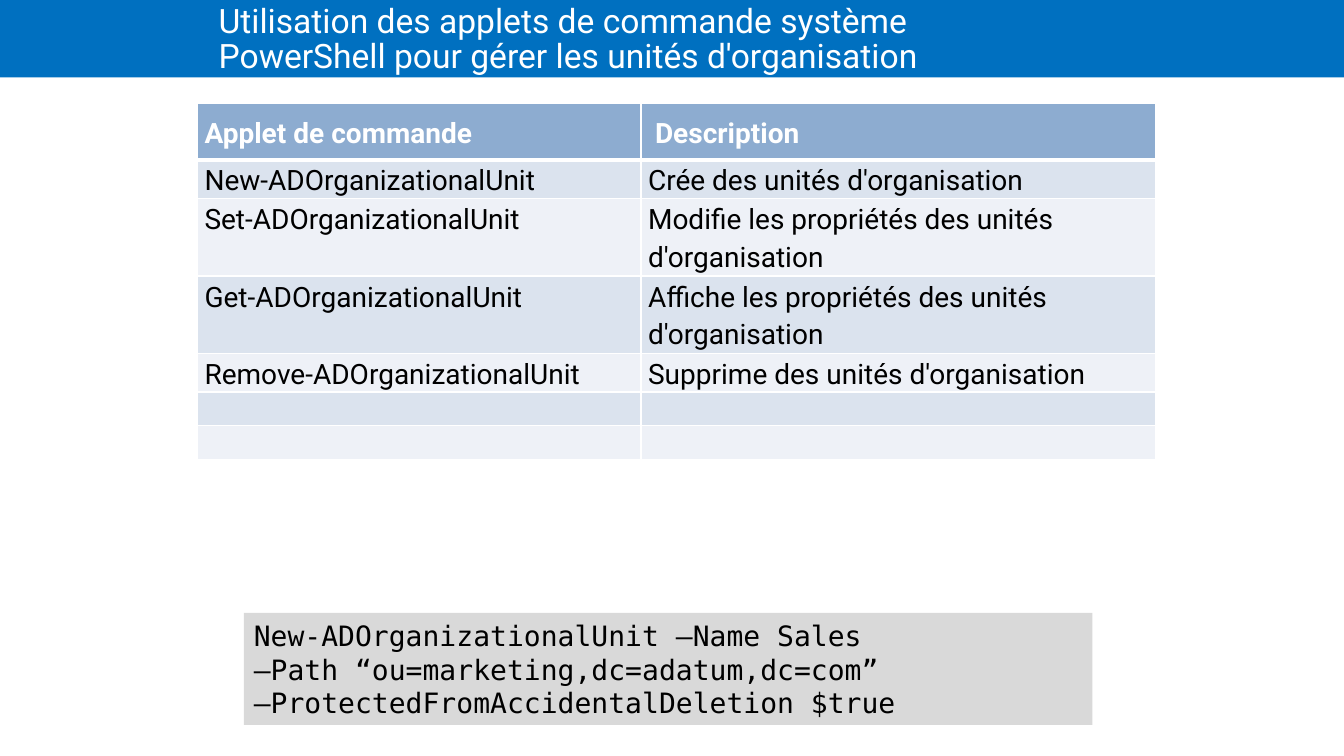
"""Build the slide on the cmdlets that manage organizational units."""
from dataclasses import dataclass

from lxml.etree import SubElement
from pptx import Presentation
from pptx.dml.color import RGBColor
from pptx.enum.shapes import MSO_SHAPE as Shape
from pptx.enum.text import MSO_ANCHOR as Anchor, MSO_AUTO_SIZE as AutoSize, PP_ALIGN as Align
from pptx.oxml.ns import qn
from pptx.util import Pt

SANS, MONO = "Roboto", "DejaVu Sans Mono"
WHITE, BLACK = "FFFFFF", "000000"
HEADER_FILL, BANDS = "8DACD0", ("DBE3EE", "EEF1F7")
HEADER_HEIGHT, ROW_HEIGHT = 40.3, 24
COLUMN_WIDTHS = (316.8, 367.9)


@dataclass(frozen=True)
class Box:
    x: float
    y: float
    w: float
    h: float

    def points(self) -> tuple:
        return Pt(self.x), Pt(self.y), Pt(self.w), Pt(self.h)


@dataclass(frozen=True)
class Style:
    size: float
    font: str
    color: str
    bold: bool = False


@dataclass(frozen=True)
class Cmdlet:
    name: str = ""
    description: str = ""


HEADER = Cmdlet("Applet de commande", " Description")
CMDLETS = (
    Cmdlet("New-ADOrganizationalUnit", "Crée des unités d'organisation"),
    Cmdlet("Set-ADOrganizationalUnit", "Modifie les propriétés des unités d'organisation"),
    Cmdlet("Get-ADOrganizationalUnit", "Affiche les propriétés des unités d'organisation"),
    Cmdlet("Remove-ADOrganizationalUnit", "Supprime des unités d'organisation"),
    Cmdlet(),
    Cmdlet(),
)
CODE = (
    "New-ADOrganizationalUnit –Name Sales ",
    "–Path “ou=marketing,dc=adatum,dc=com” ",
    "–ProtectedFromAccidentalDeletion $true",
)


def rgb(color: str) -> RGBColor:
    return RGBColor.from_string(color)


def add_run(p, text: str, style: Style) -> None:
    r = p.add_run()
    r.text = text
    r.font.size, r.font.name, r.font.bold = Pt(style.size), style.font, style.bold
    r.font.color.rgb = rgb(style.color)


def add_rect(s, box: Box, fill: str):
    sp = s.shapes.add_shape(Shape.RECTANGLE, *box.points())
    sp.shadow.inherit = False
    sp.fill.solid()
    sp.fill.fore_color.rgb = rgb(fill)
    sp.line.fill.background()
    return sp


def add_title(s, box: Box, text: str) -> None:
    tf = s.shapes.add_textbox(*box.points()).text_frame
    tf.word_wrap, tf.vertical_anchor = True, Anchor.MIDDLE
    tf.margin_left, tf.margin_right = 0, Pt(20)
    p = tf.paragraphs[0]
    p.line_spacing = 0.85
    add_run(p, text, Style(24, SANS, WHITE))


def add_code(s, box: Box, lines: tuple) -> None:
    tf = add_rect(s, box, "D9D9D9").text_frame
    tf.word_wrap, tf.auto_size = True, AutoSize.SHAPE_TO_FIT_TEXT
    p = tf.paragraphs[0]
    p.alignment = Align.LEFT
    for i, line in enumerate(lines):
        if i:
            p.add_line_break()
        add_run(p, line, Style(20, MONO, BLACK))


def set_borders(cell, widths: dict) -> None:
    tc_pr = cell._tc.get_or_add_tcPr()
    for i, (side, width) in enumerate(widths.items()):
        ln = SubElement(tc_pr, qn(f"a:{side}"), w=str(Pt(width)))
        SubElement(SubElement(ln, qn("a:solidFill")), qn("a:srgbClr"), val=WHITE)
        tc_pr.insert(i, ln)


def fill_cell(cell, text: str, fill: str, style: Style, top: float, bottom: float) -> None:
    cell.margin_left = cell.margin_right = Pt(5)
    cell.margin_top = cell.margin_bottom = 0
    cell.fill.solid()
    cell.fill.fore_color.rgb = rgb(fill)
    set_borders(cell, {"lnL": 1, "lnR": 1, "lnT": top, "lnB": bottom})
    if text:
        p = cell.text_frame.paragraphs[0]
        p.line_spacing = 1.15
        add_run(p, text, style)


def add_cmdlet_table(s, x: float, y: float) -> None:
    rows = (HEADER, *CMDLETS)
    box = Box(x, y, sum(COLUMN_WIDTHS), HEADER_HEIGHT + ROW_HEIGHT * len(CMDLETS))
    table = s.shapes.add_table(len(rows), len(COLUMN_WIDTHS), *box.points()).table
    for column, width in zip(table.columns, COLUMN_WIDTHS):
        column.width = Pt(width)
    for i, row in enumerate(rows):
        is_header = i == 0
        table.rows[i].height = Pt(HEADER_HEIGHT if is_header else ROW_HEIGHT)
        fill = HEADER_FILL if is_header else BANDS[(i - 1) % 2]
        style = Style(20, SANS, WHITE if is_header else BLACK, is_header)
        for cell, text in zip(table.rows[i].cells, (row.name, row.description)):
            fill_cell(cell, text, fill, style, 3 if i == 1 else 1, 3 if is_header else 1)
            if is_header:
                cell.vertical_anchor = Anchor.MIDDLE


def main() -> None:
    prs = Presentation()
    prs.slide_width, prs.slide_height = Pt(960), Pt(540)
    s = prs.slides.add_slide(prs.slide_layouts[6])
    add_rect(s, Box(0, 0, 960, 55.4), "0070C0")
    add_title(s, Box(156.2, 0, 630, 58.3),
              "Utilisation des applets de commande système "
              "PowerShell pour gérer les unités d'organisation")
    add_code(s, Box(174.2, 437.8, 606.2, 80), CODE)
    add_cmdlet_table(s, 141.1, 74)
    prs.save("out.pptx")


if __name__ == "__main__":
    main()
